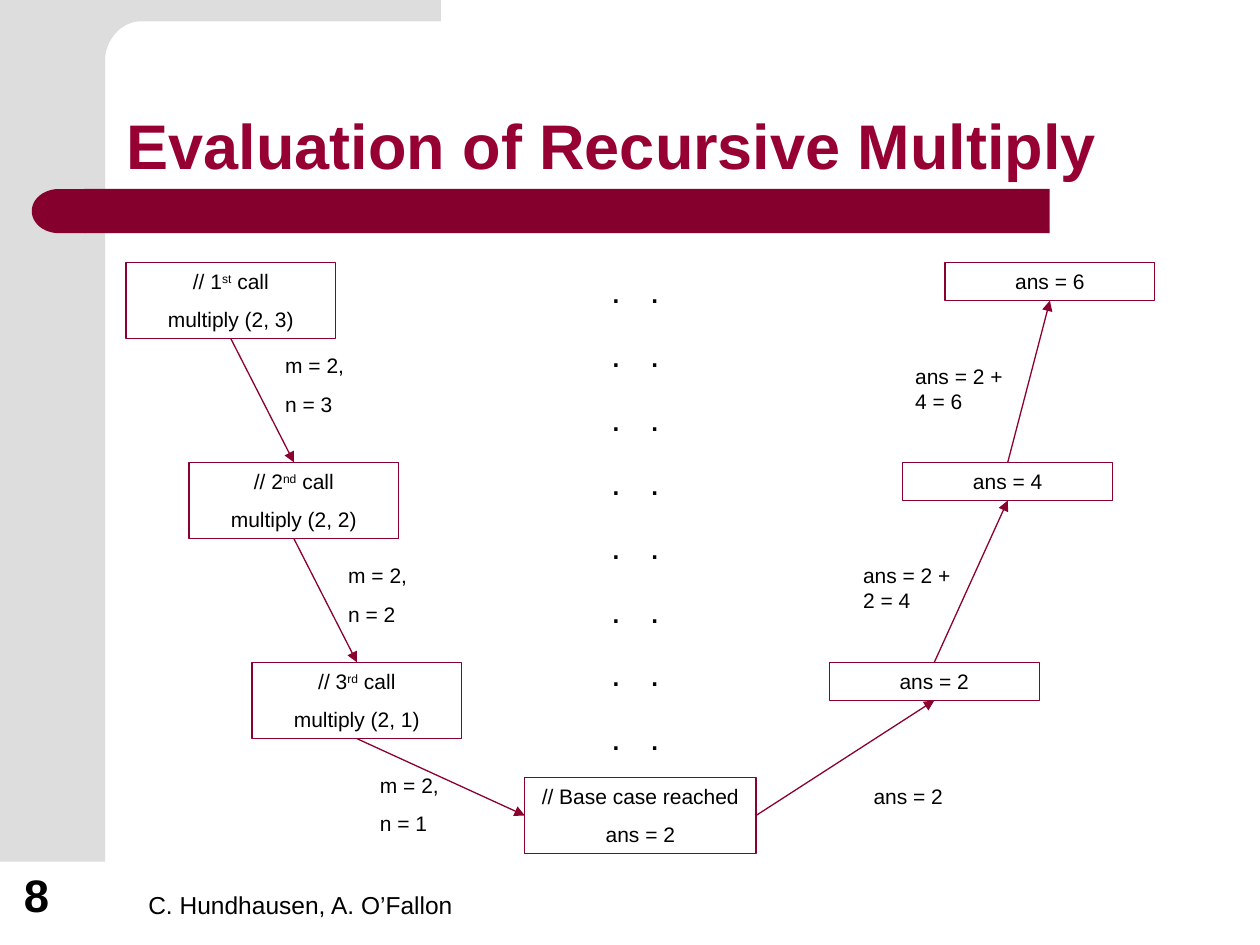
import math
from itertools import pairwise

from lxml import etree
from pptx import Presentation
from pptx import util as u
from pptx.dml.color import RGBColor
from pptx.enum import shapes, text
from pptx.oxml.ns import qn

# Content: superscripts are the second item of a three-part line
TITLE = "Evaluation of Recursive Multiply"
FOOTER, NUMBER = "C. Hundhausen, A. O’Fallon", "8"
CALLS = [
    [("// 1", "st", " call"), "multiply (2, 3)"],
    [("// 2", "nd", " call"), "multiply (2, 2)"],
    [("// 3", "rd", " call"), "multiply (2, 1)"],
]
BASE = ["// Base case reached", "ans = 2"]
ARGUMENTS = [  # text, left
    (["m = 2,", "n = 3"], 5.5),
    (["m = 2,", "n = 2"], 6.77),
    (["m = 2,", "n = 1"], 7.41),
]
RETURNS = [("ans = 6", 19.05), ("ans = 4", 18.2), ("ans = 2", 16.72)]
SUMS = [  # text, left, top, height
    ("ans = 2 + 4 = 6", 18.2, 7.2, 1.28),
    ("ans = 2 + 2 = 4", 17.15, 11.22, 1.28),
    ("ans = 2", 17.36, 15.67, 0.77),
]
DOTS = [".\t."] * 8

THEME = {
    "font": "Arial", "ink": "000000", "title": "960032", "line": "8A002E",
    "band": "86002D", "side": "DDDDDD", "weight": 0.75,
    "title_pt": 36, "number_pt": 26, "dots_pt": 20, "footer_pt": 14, "body_pt": 12,
}

# Grid in centimetres
TOP, ROW, ARG_TOP, ARG_ROW = 5.29, 4.03, 6.99, 4.23
LEFT, STEP = 2.54, 1.27
BOX_W, BOX_H, SMALL_H, LABEL_W = 4.23, 1.54, 0.77, 2.54
ABOVE, WEST, BELOW, EAST = range(4)  # connection sites of a rectangle

prs = Presentation()
prs.slide_width, prs.slide_height = u.Cm(25.4), u.Cm(19.05)
s = prs.slides.add_slide(prs.slide_layouts[6])


def rgb(key):
    return RGBColor.from_string(THEME[key])


def write(sp, lines, size="body_pt", color="ink", bold=False, center=False,
          bottom=False, before=7.5, spacing=None, tab=None):
    tf = sp.text_frame
    tf.word_wrap = True
    tf.vertical_anchor = text.MSO_ANCHOR.BOTTOM if bottom else text.MSO_ANCHOR.TOP
    tf.auto_size = (text.MSO_AUTO_SIZE.NONE if bottom
                    else text.MSO_AUTO_SIZE.SHAPE_TO_FIT_TEXT)
    for i, line in enumerate(lines):
        p = tf.add_paragraph() if i else tf.paragraphs[0]
        if tab:
            tabs = etree.SubElement(p._p.get_or_add_pPr(), qn("a:tabLst"))
            etree.SubElement(tabs, qn("a:tab"), pos=str(u.Cm(tab)), algn="l")
        p.alignment = text.PP_ALIGN.CENTER if center else text.PP_ALIGN.LEFT
        if i:
            p.space_before = u.Pt(before)
        if spacing:
            p.line_spacing = spacing
        for j, part in enumerate([line] if isinstance(line, str) else line):
            r = p.add_run()
            r.text = part
            r.font.name, r.font.size = THEME["font"], u.Pt(THEME[size])
            r.font.bold, r.font.color.rgb = bold, rgb(color)
            if j == 1:
                r._r.get_or_add_rPr().set("baseline", "30000")


def label(lines, *at, **fmt):
    write(s.shapes.add_textbox(*map(u.Cm, at)), lines, **fmt)


def solid(sp, color):
    sp.shadow.inherit = False
    sp.fill.solid()
    sp.fill.fore_color.rgb = rgb(color)
    sp.line.fill.background()
    return sp


def block(kind, color, *at):
    return solid(s.shapes.add_shape(kind, *map(u.Cm, at)), color)


def box(lines, *at):
    sp = s.shapes.add_shape(shapes.MSO_SHAPE.RECTANGLE, *map(u.Cm, at))
    sp.shadow.inherit = False
    sp.fill.background()
    sp.line.color.rgb, sp.line.width = rgb("line"), u.Pt(THEME["weight"])
    write(sp, lines, center=True)
    return sp


def arrow(start, start_site, end, end_site):
    c = s.shapes.add_connector(shapes.MSO_CONNECTOR.STRAIGHT, 0, 0, 0, 0)
    c.begin_connect(start, start_site)
    c.end_connect(end, end_site)
    c.line.color.rgb, c.line.width = rgb("line"), u.Pt(THEME["weight"])
    etree.SubElement(c.line._get_or_add_ln(), qn("a:tailEnd"), type="triangle")
    etree.SubElement(c._element.spPr, qn("a:effectLst"))


# Grey side bar and top bar with a rounded inner corner
block(shapes.MSO_SHAPE.RECTANGLE, "side", 0, 0, 2.12, 17.37)
corner = [(2.85 - 0.74 * math.sin(a), 1.27 - 0.84 * math.cos(a))
          for a in (math.radians(d) for d in range(0, 91, 5))]
outline = [(8.89, 0), (8.89, 0.43), *corner, (2.11, 1.55), (1.27, 1.55), (1.27, 0)]
points = [(u.Cm(x), u.Cm(y)) for x, y in outline]
fb = s.shapes.build_freeform(*points[0])
fb.add_line_segments(points[1:], close=True)
solid(fb.convert_to_shape(), "side")

# Title band with a rounded left end
block(shapes.MSO_SHAPE.RECTANGLE, "band", 1.7, 3.81, 19.46, 0.89)
block(shapes.MSO_SHAPE.FLOWCHART_DELAY, "band", 0.64, 3.81, 1.09, 0.89).rotation = 180

# Title and footer
label([TITLE], 2.31, 1.04, 21.62, 2.77, size="title_pt", color="title",
      bold=True, bottom=True, spacing=0.9)
label([FOOTER], 2.74, 17.35, 9.53, 1.32, size="footer_pt", bottom=True)
label([NUMBER], 0.23, 17.35, 1.63, 1.35, size="number_pt", bold=True, bottom=True)

# Calls going down, base case, answers coming back up
calls = [box(lines, LEFT + i * STEP, TOP + i * ROW, BOX_W, BOX_H)
         for i, lines in enumerate(CALLS)]
base = box(BASE, 10.58, 15.67, 4.66, BOX_H)
returns = [box([line], x, TOP + i * ROW, BOX_W, SMALL_H)
           for i, (line, x) in enumerate(RETURNS)]

for upper, lower in pairwise(calls):
    arrow(upper, BELOW, lower, ABOVE)
arrow(calls[-1], BELOW, base, WEST)
arrow(base, EAST, returns[-1], BELOW)
for upper, lower in pairwise(returns):
    arrow(lower, ABOVE, upper, BELOW)

# Arrow labels and the dots between the two sides
for i, (lines, x) in enumerate(ARGUMENTS):
    label(lines, x, ARG_TOP + i * ARG_ROW, LABEL_W, BOX_H)
for line, x, y, h in SUMS:
    label([line], x, y, LABEL_W, h)
label(DOTS, 12.07, TOP, 2.12, 10.13, size="dots_pt", before=12.5, tab=0.78)

prs.save("out.pptx")
